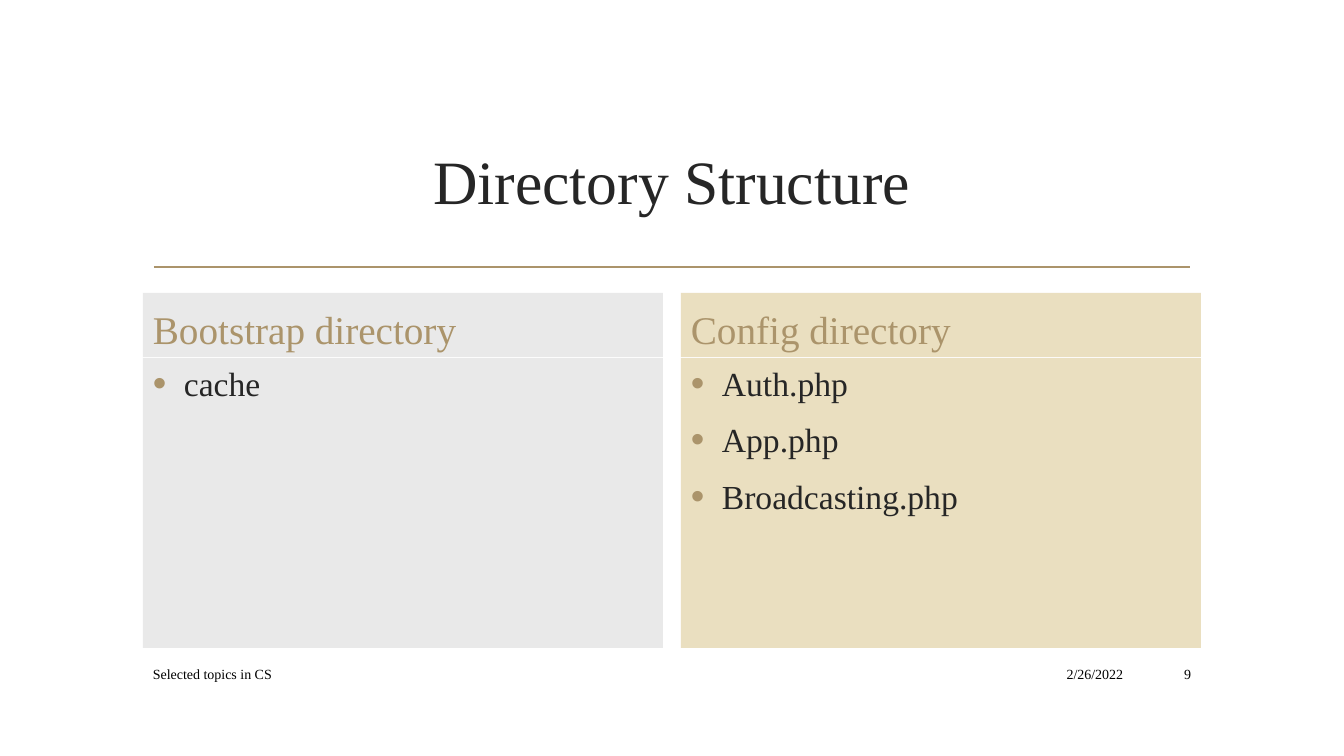
from lxml.etree import SubElement
from pptx import Presentation
from pptx.dml.color import RGBColor
from pptx.enum.shapes import MSO_CONNECTOR, MSO_SHAPE
from pptx.enum.text import MSO_ANCHOR as Anchor, PP_ALIGN as Align
from pptx.oxml.ns import qn
from pptx.util import Emu, Pt

EMU_PER_PX = 914400 / 100.8
FONT = "Times New Roman"
GOLD = RGBColor(0xAB, 0x94, 0x6B)
DARK = RGBColor(0x26, 0x26, 0x26)
BLACK = RGBColor(0, 0, 0)
GREY = RGBColor(0xE9, 0xE9, 0xE9)
SAND = RGBColor(0xEA, 0xDF, 0xC0)

LEFT, WIDTH = 143, 1058
COLUMN_WIDTH, COLUMN_STEP = 520, 538
HEADING_TOP, HEADING_HEIGHT = 293, 64
LIST_TOP, LIST_HEIGHT = 358, 290
FOOTER_TOP, FOOTER_HEIGHT = 658, 31

COLUMNS = [
    ("Bootstrap directory", ["cache"], GREY),
    ("Config directory", ["Auth.php", "App.php", "Broadcasting.php"], SAND),
]
FOOTERS = [
    ("Selected topics in CS", LEFT, 805, Align.LEFT),
    ("2/26/2022", 957, 176, Align.RIGHT),
    ("9", 1141, 60, Align.RIGHT),
]


def px(length):
    return Emu(round(length * EMU_PER_PX))


def box(*lengths):
    return [px(length) for length in lengths]


def write(shape, lines, size, color, align=Align.LEFT, anchor=Anchor.MIDDLE, bullets=False):
    frame = shape.text_frame
    frame.word_wrap = True
    frame.vertical_anchor = anchor
    frame.text = "\n".join(lines)
    for index, paragraph in enumerate(frame.paragraphs):
        paragraph.alignment = align
        if bullets:
            paragraph.space_before = Pt(5.5 if index else 0)
            paragraph.space_after = Pt(6)
            add_bullet(paragraph)
        for run in paragraph.runs:
            run.font.name = FONT
            run.font.size = Pt(size)
            run.font.color.rgb = color


def add_bullet(paragraph):
    properties = paragraph._p.get_or_add_pPr()
    properties.set("marL", str(px(31)))
    properties.set("indent", str(-px(31)))
    color = SubElement(properties, qn("a:buClr"))
    SubElement(color, qn("a:srgbClr"), val=str(GOLD))
    SubElement(properties, qn("a:buSzPct"), val="115000")
    SubElement(properties, qn("a:buFont"), typeface="Arial")
    SubElement(properties, qn("a:buChar"), char="•")


def add_title(slide, text):
    title = slide.shapes.title
    title.left, title.top, title.width, title.height = box(LEFT, 108, WIDTH, 144)
    write(title, [text], 44, DARK, Align.CENTER)


def add_rule(slide):
    rule = slide.shapes.add_connector(MSO_CONNECTOR.STRAIGHT, *box(154, 267, 1190, 267))
    rule.line.color.rgb = GOLD
    rule.line.width = Pt(1.25)
    SubElement(rule._element.spPr, qn("a:effectLst"))


def add_panel(slide, left, top, height, fill):
    panel = slide.shapes.add_shape(MSO_SHAPE.RECTANGLE, *box(left, top, COLUMN_WIDTH, height))
    panel.shadow.inherit = False
    panel.fill.solid()
    panel.fill.fore_color.rgb = fill
    panel.line.fill.background()
    return panel


def add_column(slide, left, heading, files, fill):
    heading_panel = add_panel(slide, left, HEADING_TOP, HEADING_HEIGHT, fill)
    write(heading_panel, [heading], 28, GOLD, anchor=Anchor.BOTTOM)
    list_panel = add_panel(slide, left, LIST_TOP, LIST_HEIGHT, fill)
    write(list_panel, files, 24, DARK, anchor=Anchor.TOP, bullets=True)


def add_footer(slide, text, left, width, align):
    footer = slide.shapes.add_textbox(*box(left, FOOTER_TOP, width, FOOTER_HEIGHT))
    write(footer, [text], 10, BLACK, align)


def main():
    deck = Presentation()
    deck.slide_width, deck.slide_height = box(1344, 756)
    slide = deck.slides.add_slide(deck.slide_layouts[5])
    add_rule(slide)
    add_title(slide, "Directory Structure")
    for index, (heading, files, fill) in enumerate(COLUMNS):
        add_column(slide, LEFT + index * COLUMN_STEP, heading, files, fill)
    for footer in FOOTERS:
        add_footer(slide, *footer)
    deck.save("out.pptx")


if __name__ == "__main__":
    main()
